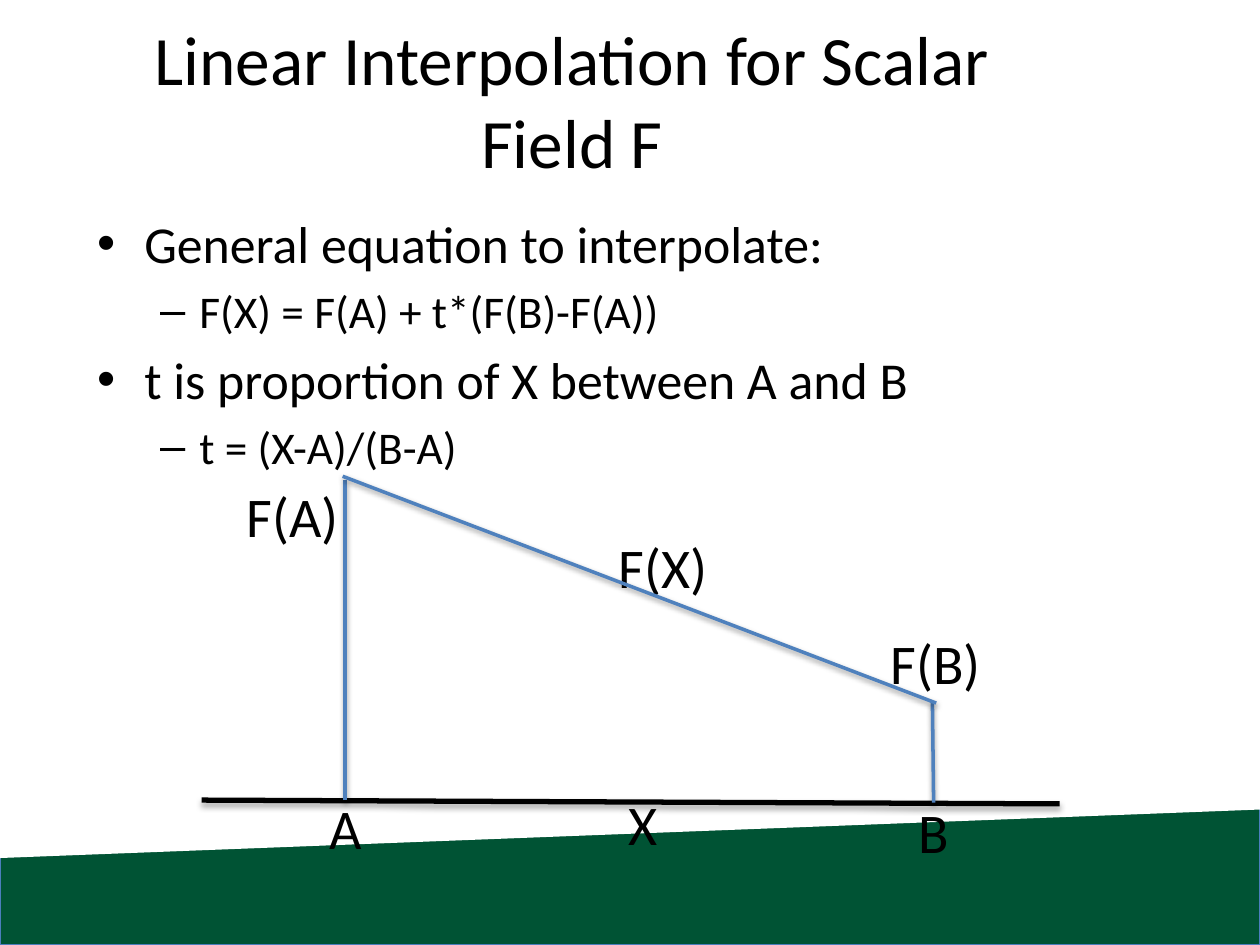
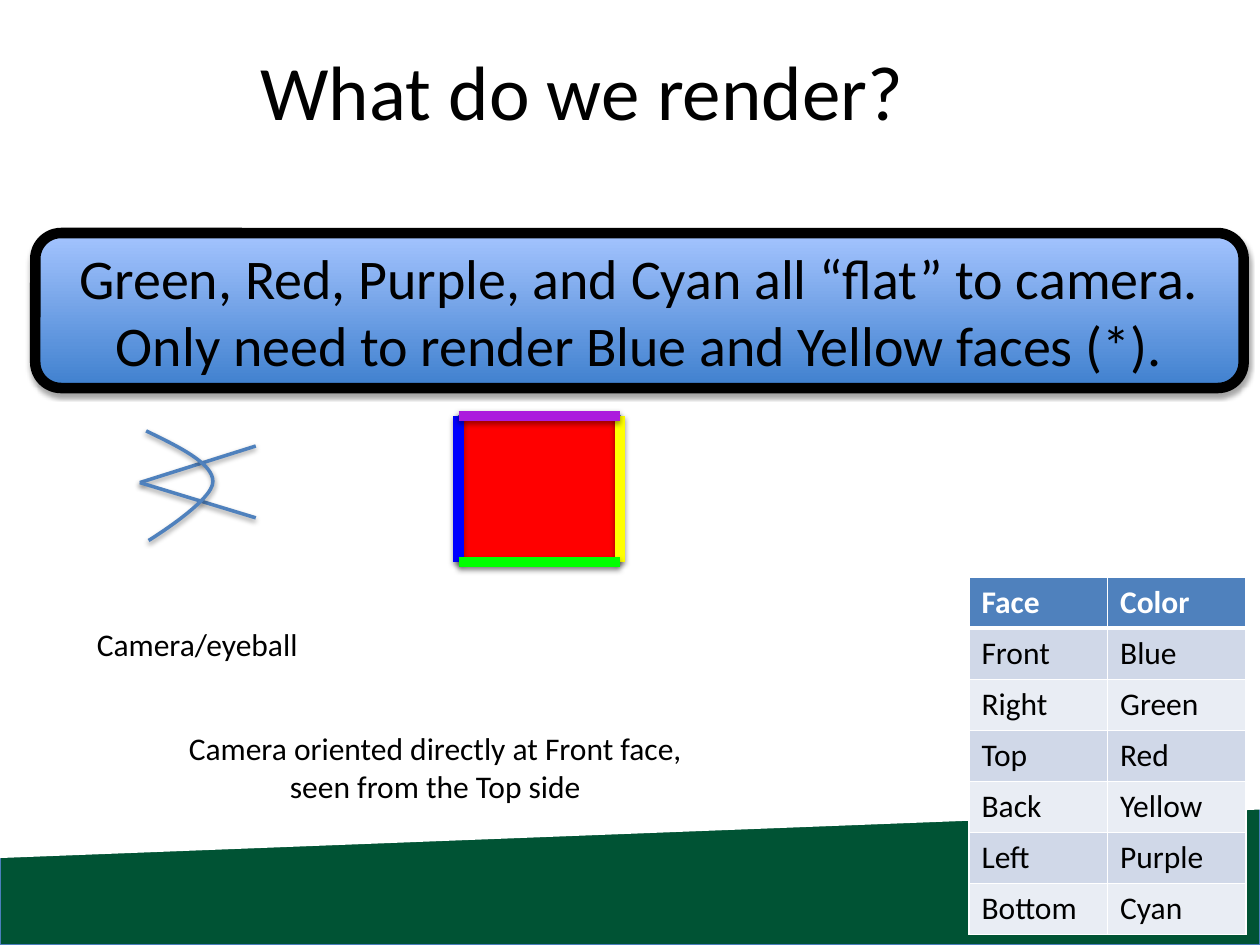
import pptx
import pptx.dml.color
import pptx.enum.dml
import pptx.enum.shapes
import pptx.enum.text
import pptx.oxml
import pptx.oxml.ns
import pptx.util

Inches = pptx.util.Inches
Pt = pptx.util.Pt
RGB = pptx.dml.color.RGBColor
Kind = pptx.enum.shapes.MSO_SHAPE
Align = pptx.enum.text.PP_ALIGN
Anchor = pptx.enum.text.MSO_ANCHOR
Auto = pptx.enum.text.MSO_AUTO_SIZE

BLACK = RGB(0, 0, 0)
WHITE = RGB(255, 255, 255)
FOREST = RGB(0x00, 0x53, 0x34)
STEEL = RGB(0x4F, 0x81, 0xBD)
EDGE = RGB(0x4B, 0x7E, 0xBC)
DEEP = RGB(0x3F, 0x80, 0xCE)
SKY = RGB(0xA4, 0xC4, 0xFF)
DARK_ROW = RGB(0xD0, 0xD8, 0xE8)
PALE_ROW = RGB(0xE9, 0xED, 0xF4)
RED = RGB(255, 0, 0)
BLUE = RGB(0, 0, 255)
YELLOW = RGB(255, 255, 0)
GREEN = RGB(0, 255, 0)
PURPLE = RGB(0xAC, 0x1B, 0xDD)

FACES = [
    ("Face", "Color"),
    ("Front", "Blue"),
    ("Right", "Green"),
    ("Top", "Red"),
    ("Back", "Yellow"),
    ("Left", "Purple"),
    ("Bottom", "Cyan"),
]


def inch(*sizes):
    return [Inches(size) for size in sizes]


class Deck:
    font = "Calibri"

    def __init__(self):
        self.show = pptx.Presentation()
        self.show.slide_width, self.show.slide_height = inch(10, 7.5)
        self.slide = None

    def page(self, layout, title, box, size):
        self.slide = self.show.slides.add_slide(self.show.slide_layouts[layout])
        head = self.slide.shapes.title
        self.place(head, box)
        head.text_frame.text = title
        head.text_frame.auto_size = Auto.NONE
        head.text_frame.vertical_anchor = Anchor.MIDDLE
        self.style(head.text_frame.paragraphs[0], size, align=Align.CENTER)

    def place(self, shape, box):
        shape.left, shape.top, shape.width, shape.height = inch(*box)

    def style(self, para, size, color=BLACK, bold=False, align=None):
        para.font.name = self.font
        para.font.size = Pt(size)
        para.font.color.rgb = color
        para.font.bold = bold
        if align is not None:
            para.alignment = align

    def stroke(self, shape, color, width):
        shape.line.color.rgb = color
        shape.line.width = Pt(width)

    def shade(self, shape, alpha=38, gap=1.6):
        shape.element.spPr.append(pptx.oxml.parse_xml(
            f'<a:effectLst {pptx.oxml.ns.nsdecls("a")}>'
            f'<a:outerShdw blurRad="{Pt(3.1)}" dist="{Pt(gap)}" dir="5400000" rotWithShape="0">'
            f'<a:srgbClr val="000000"><a:alpha val="{alpha * 1000}"/></a:srgbClr>'
            '</a:outerShdw></a:effectLst>'))

    def block(self, kind, box, color, edge=EDGE, width=0.75):
        shape = self.slide.shapes.add_shape(kind, *inch(*box))
        if color is not None:
            shape.fill.solid()
            shape.fill.fore_color.rgb = color
        if edge is None:
            shape.line.fill.background()
            shape.shadow.inherit = False
        else:
            self.stroke(shape, edge, width)
            self.shade(shape, 35, 1.8)
        return shape

    def band(self):
        base = self.block(Kind.RECTANGLE, (0, 5.61, 10, 1.89), FOREST)
        slope = self.block(Kind.PARALLELOGRAM, (3.84, 0.65, 2.32, 10), WHITE, None)
        slope.adjustments[0] = 0.166
        slope.rotation = 90
        slope.element.spPr.xfrm.set("flipH", "1")
        tree = self.show.slide_master.shapes.element
        for step, shape in enumerate((base, slope)):
            shape.element.nvSpPr.cNvPr.id = 20 + step
            tree.insert(2 + step, shape.element)

    def bullets(self, box, rows):
        body = self.slide.placeholders[1]
        self.place(body, box)
        frame = body.text_frame
        frame.auto_size = Auto.NONE
        for step, (level, text) in enumerate(rows):
            para = frame.add_paragraph() if step else frame.paragraphs[0]
            para.text = text
            para.level = level
            self.style(para, (29.6, 25.9)[level])
        frame.paragraphs[0].space_before = Pt(0)

    def label(self, text, box, size=32, align=Align.LEFT):
        frame = self.slide.shapes.add_textbox(*inch(*box)).text_frame
        frame.word_wrap = False
        frame.auto_size = Auto.SHAPE_TO_FIT_TEXT
        frame.text = text
        for para in frame.paragraphs:
            self.style(para, size, align=align)

    def line(self, start, end, color=STEEL, width=2, alpha=38, gap=1.6):
        link = self.slide.shapes.add_connector(
            pptx.enum.shapes.MSO_CONNECTOR.STRAIGHT, *inch(*start, *end))
        self.stroke(link, color, width)
        self.shade(link, alpha, gap)

    def curve(self, start, points):
        build = self.slide.shapes.build_freeform(*inch(*start), scale=1.0)
        build.add_line_segments([inch(*point) for point in points], close=False)
        shape = build.convert_to_shape()
        shape.fill.background()
        self.stroke(shape, STEEL, 2)
        self.shade(shape)
        name = pptx.oxml.ns.qn
        trace = shape.element.spPr.find(".//" + name("a:path"))
        legs = trace.findall(name("a:lnTo"))
        for first in range(0, len(legs), 3):
            bend = trace.makeelement(name("a:cubicBezTo"), {})
            trace.append(bend)
            for leg in legs[first:first + 3]:
                bend.append(leg[0])
                trace.remove(leg)

    def banner(self, text, box):
        shape = self.block(Kind.ROUNDED_RECTANGLE, box, None, BLACK, 6)
        shape.fill.gradient()
        shape.fill.gradient_angle = 90
        for stop, color in zip(shape.fill.gradient_stops, (DEEP, SKY)):
            stop.color.rgb = color
        frame = shape.text_frame
        frame.word_wrap = True
        frame.vertical_anchor = Anchor.MIDDLE
        frame.text = text
        self.style(frame.paragraphs[0], 32, align=Align.CENTER)

    def border(self, cell, row):
        sides = {"L": 1, "R": 1, "T": 3 if row == 1 else 1, "B": 3 if row == 0 else 1}
        props = cell._tc.get_or_add_tcPr()
        for side, width in sides.items():
            props.append(pptx.oxml.parse_xml(
                f'<a:ln{side} {pptx.oxml.ns.nsdecls("a")} w="{Pt(width)}">'
                f'<a:solidFill><a:srgbClr val="{WHITE}"/></a:solidFill></a:ln{side}>'))

    def table(self, rows, box):
        grid = self.slide.shapes.add_table(len(rows), len(rows[0]), *inch(*box)).table
        for row, words in enumerate(rows):
            fill = (PALE_ROW, DARK_ROW)[row % 2] if row else STEEL
            for col, word in enumerate(words):
                cell = grid.cell(row, col)
                cell.text = word
                self.border(cell, row)
                cell.fill.solid()
                cell.fill.fore_color.rgb = fill
                self.style(cell.text_frame.paragraphs[0], 18,
                           BLACK if row else WHITE, row == 0)


def scalar(deck):
    deck.page(1, "Linear Interpolation for Scalar Field F", (0.67, 0.25, 7.74, 1.08), 39.6)
    deck.band()
    deck.bullets((0.67, 1.63, 8.12, 2.12), [
        (0, "General equation to interpolate:"),
        (1, "F(X) = F(A) + t*(F(B)-F(A))"),
        (0, "t is proportion of X between A and B"),
        (1, "t = (X-A)/(B-A)"),
    ])
    deck.line((1.6, 6.35), (8.41, 6.38), BLACK, 3, 35, 1.8)
    deck.line((2.74, 6.35), (2.74, 3.81))
    deck.line((7.41, 6.37), (7.4, 5.57))
    for text, left, top, width in [
        ("A", 2.52, 6.25, 0.46),
        ("B", 7.19, 6.28, 0.46),
        ("F(B)", 6.97, 4.94, 0.92),
        ("X", 4.89, 6.22, 0.43),
        ("F(X)", 4.81, 4.18, 0.91),
        ("F(A)", 1.86, 3.77, 0.94),
    ]:
        deck.label(text, (left, top, width, 0.64))
    deck.line((2.72, 3.78), (7.43, 5.58))


def render(deck):
    deck.page(5, "What do we render?", (0.16, 0.17, 8.92, 1.08), 44)
    for end in (3.54, 4.11):
        deck.line((1.11, 3.83), (2.03, end))
    deck.curve((1.16, 3.42), [(1.43, 3.55), (1.69, 3.68), (1.69, 3.82),
                              (1.7, 3.97), (1.18, 4.29), (1.18, 4.29)])
    deck.label("Camera/eyeball", (0.67, 4.91, 1.97, 0.4), 18)
    deck.table(FACES, (7.69, 4.58, 2.2, 2.84))
    left, top, right, base = 3.64, 3.3, 4.92, 4.46
    deck.block(Kind.RECTANGLE, (left, top, right - left, base - top), RED)
    deck.label("Camera oriented directly at Front face,\nseen from the Top side",
               (1.2, 5.74, 4.51, 0.71), 18, Align.CENTER)
    deck.banner("Green, Red, Purple, and Cyan all “flat” to camera. "
                "Only need to render Blue and Yellow faces (*).", (0.28, 1.85, 9.59, 1.23))
    deck.line((left, top), (left, base), BLUE, 6)
    deck.line((right, top), (right, base), YELLOW, 6)
    deck.line((left, base), (right, base), GREEN, 6)
    deck.line((left, top), (right, top), PURPLE, 6)


def main():
    deck = Deck()
    scalar(deck)
    render(deck)
    deck.show.save("out.pptx")


if __name__ == "__main__":
    main()
